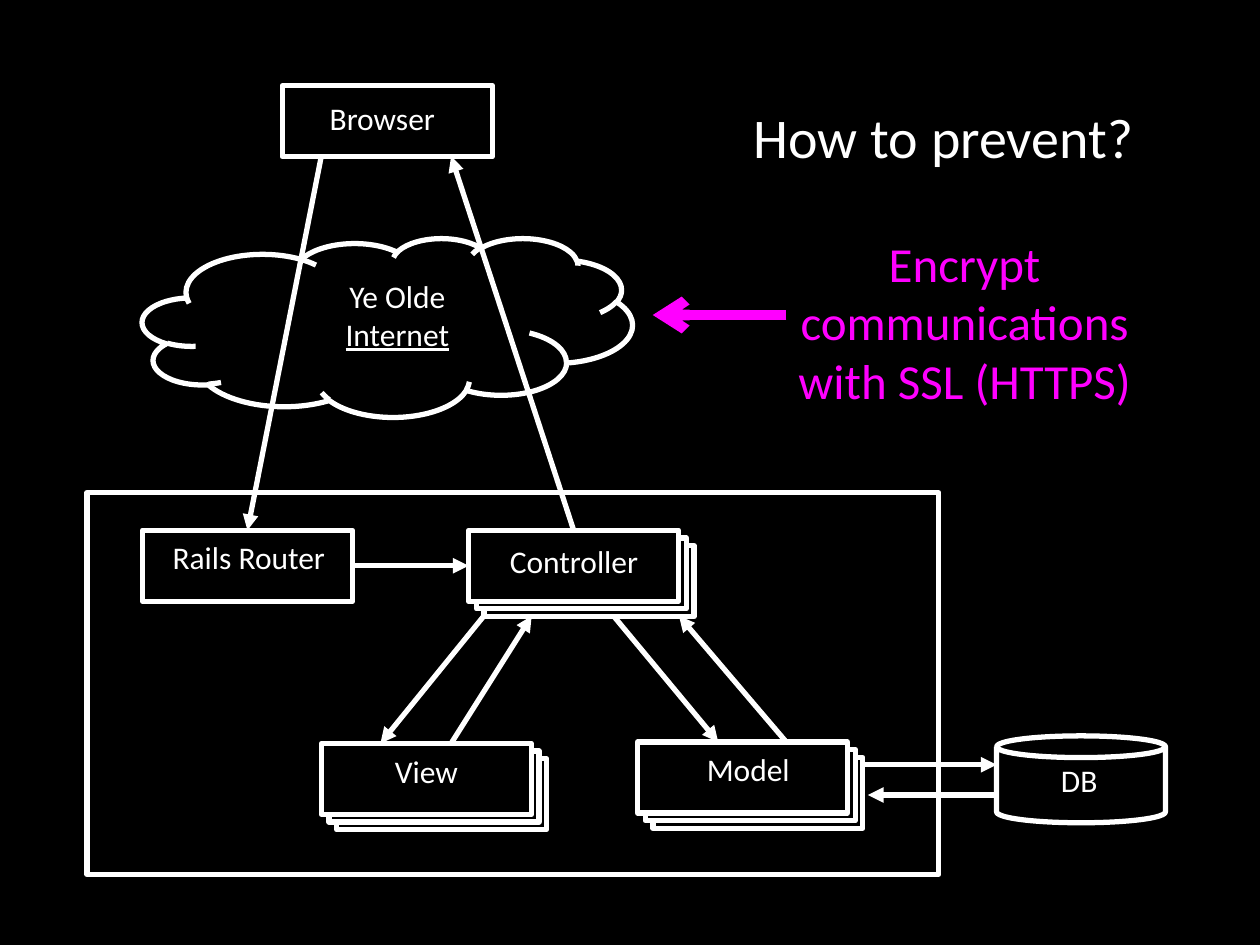
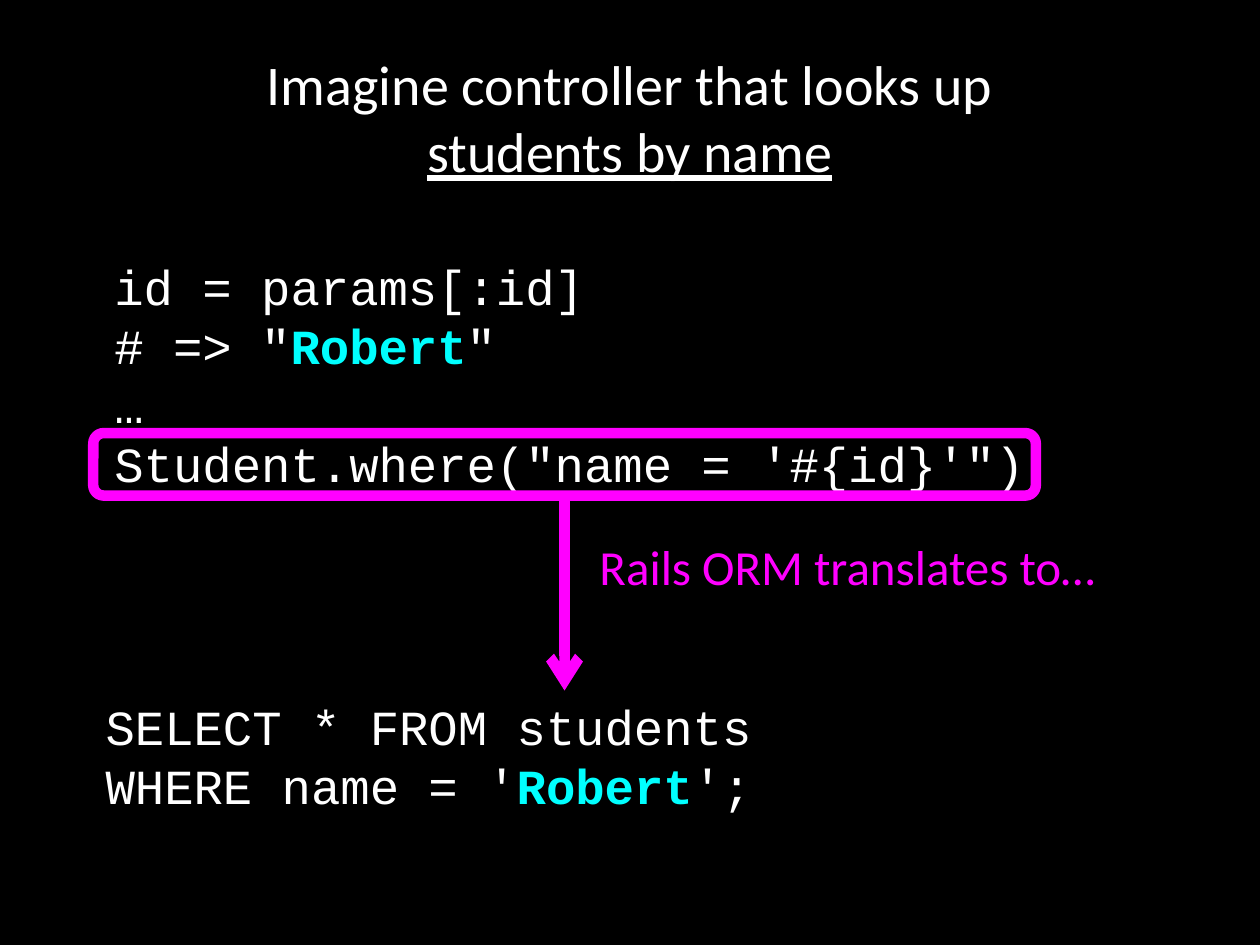
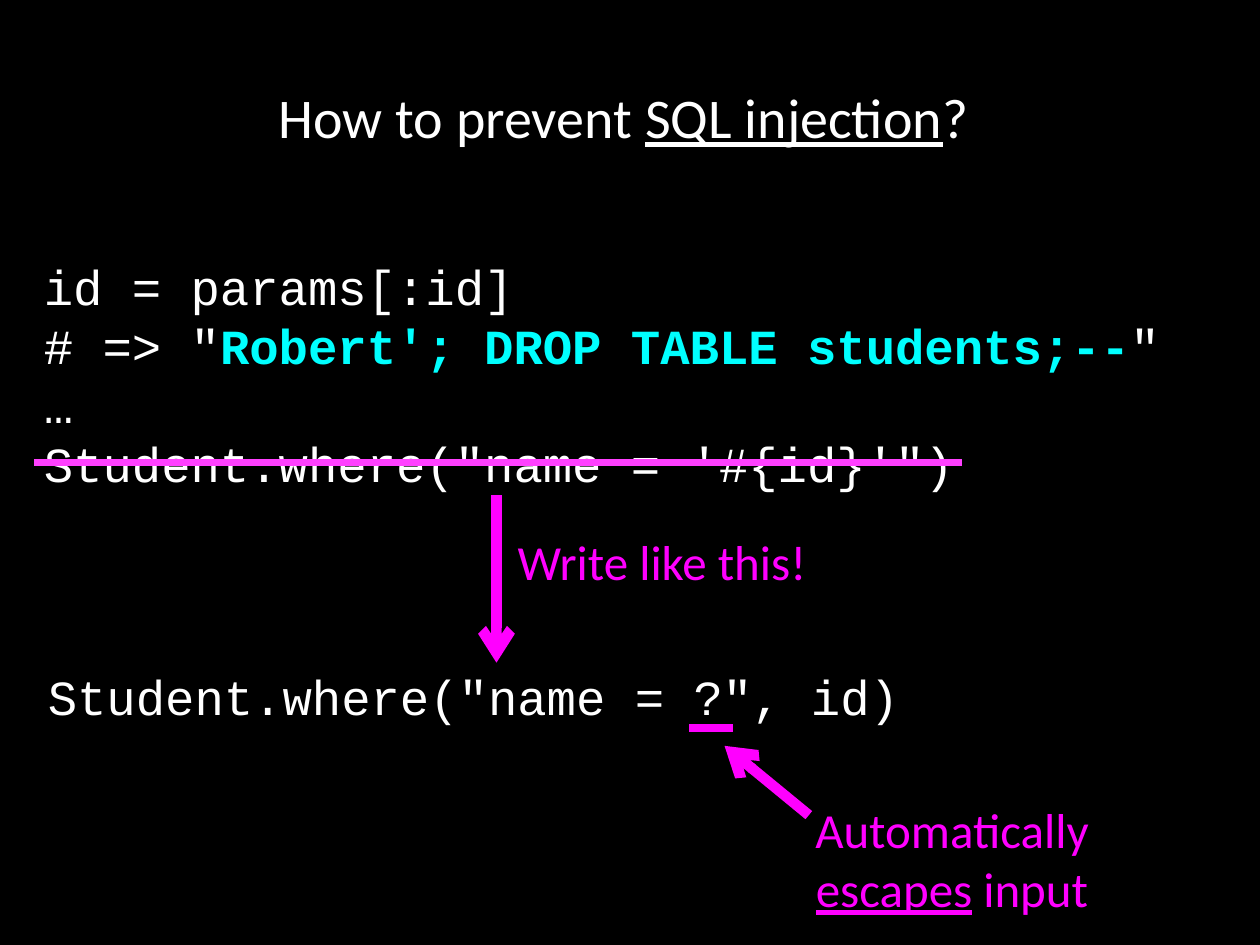
"""Build three slides on web security: HTTPS, query lookup and SQL injection."""
from lxml.etree import SubElement
from pptx import Presentation
from pptx.dml.color import RGBColor
from pptx.enum.shapes import MSO_CONNECTOR, MSO_SHAPE
from pptx.enum.text import MSO_ANCHOR, MSO_AUTO_SIZE, PP_ALIGN
from pptx.oxml.ns import qn
from pptx.util import Pt

BLACK = RGBColor(0x00, 0x00, 0x00)
WHITE = RGBColor(0xFF, 0xFF, 0xFF)
PINK = RGBColor(0xFF, 0x00, 0xFF)
ROSE = RGBColor(0xFF, 0x40, 0xFF)
CYAN = RGBColor(0x00, 0xFF, 0xFF)
SANS, MONO = "Calibri", "Courier New"
CARD = (120, 40.6)
STEP = 4.4
WIDE = (36, 21.6, 648, 90)
TOP, LEFT, BASE, RIGHT = range(4)


def new_slide(deck):
    """Add a blank slide with a black ground."""
    slide = deck.slides.add_slide(deck.slide_layouts[6])
    slide.background.fill.solid()
    slide.background.fill.fore_color.rgb = BLACK
    return slide


def add_text(slide, spot, lines, size, font=SANS, color=WHITE, align=PP_ALIGN.LEFT, wrap=True):
    """Add a text box; the parts between bars are marked runs."""
    box = slide.shapes.add_textbox(*map(Pt, spot))
    frame = box.text_frame
    frame.word_wrap = wrap
    frame.auto_size = MSO_AUTO_SIZE.SHAPE_TO_FIT_TEXT
    for row, line in enumerate(lines):
        para = frame.add_paragraph() if row else frame.paragraphs[0]
        para.alignment = align
        parts = line.split("|")
        para.text = parts[0]
        for part in parts[1:]:
            para.add_run().text = part
        para.font.size = Pt(size)
        for run in para.runs:
            run.font.name = font
            run.font.size = Pt(size)
            run.font.color.rgb = color
        for run in para.runs[1::2]:
            if font == MONO:
                run.font.bold = True
                run.font.color.rgb = CYAN
            else:
                run.font.underline = True
    return frame


def add_title(slide, text, spot=WIDE):
    """Add the centred slide title."""
    frame = add_text(slide, spot, [text], 32, align=PP_ALIGN.CENTER)
    frame.auto_size = MSO_AUTO_SIZE.NONE
    frame.vertical_anchor = MSO_ANCHOR.MIDDLE


def add_code(slide, spot, lines, wrap=True):
    """Add lines of code."""
    add_text(slide, spot, lines, 28, MONO, wrap=wrap)


def add_note(slide, spot, text, align=PP_ALIGN.LEFT, wrap=True):
    """Add a pink remark."""
    add_text(slide, spot, [text], 28, color=PINK, align=align, wrap=wrap)


def add_label(slide, spot, text):
    """Add a small centred label."""
    add_text(slide, spot, [text], 18, align=PP_ALIGN.CENTER, wrap=False)


def add_box(slide, kind, spot, color=WHITE, width=3, fill=None):
    """Add an outlined shape."""
    shape = slide.shapes.add_shape(kind, *map(Pt, spot))
    shape.shadow.inherit = False
    if fill is None:
        shape.fill.background()
    else:
        shape.fill.solid()
        shape.fill.fore_color.rgb = fill
    shape.line.color.rgb = color
    shape.line.width = Pt(width)
    return shape


def add_stack(slide, left, top):
    """Add three stacked cards and return the front one."""
    for step in (2, 1, 0):
        spot = (left + step * STEP, top + step * STEP, *CARD)
        card = add_box(slide, MSO_SHAPE.RECTANGLE, spot, fill=BLACK)
    return card


def add_line(slide, ends, color=WHITE, width=3, head="triangle", start=None, stop=None):
    """Add a line, joined to shapes where a (shape, side) pair is given."""
    line = slide.shapes.add_connector(MSO_CONNECTOR.STRAIGHT, *map(Pt, ends))
    line.line.color.rgb = color
    line.line.width = Pt(width)
    if head:
        SubElement(line.line._get_or_add_ln(), qn("a:tailEnd"), type=head)
    SubElement(line._element.spPr, qn("a:effectLst"))
    if start:
        line.begin_connect(*start)
    if stop:
        line.end_connect(*stop)


def add_arrow(slide, ends, start=None):
    """Add a thick pink arrow."""
    add_line(slide, ends, PINK, 6, "arrow", start)


def web_slide(deck):
    """Draw the path of a request from browser to database."""
    slide = new_slide(deck)
    add_title(slide, "How to prevent?", (388, 33, 302.4, 90))
    add_box(slide, MSO_SHAPE.RECTANGLE, (49.7, 281.5, 486.7, 218.2))
    add_box(slide, MSO_SHAPE.RECTANGLE, (161.3, 49, *CARD))
    router = add_box(slide, MSO_SHAPE.RECTANGLE, (81.4, 303, *CARD))
    control = add_stack(slide, 267.8, 303)
    add_box(slide, MSO_SHAPE.CAN, (569.5, 420.5, 96.5, 49.7))
    add_box(slide, MSO_SHAPE.CLOUD, (81.4, 136, 280, 102.2))
    add_stack(slide, 183.6, 424.8)
    add_stack(slide, 364.3, 424)
    add_line(slide, (183.6, 89.3, 141.4, 303), stop=(router, TOP))
    add_line(slide, (327.8, 303, 257.8, 89.3), start=(control, TOP))
    add_line(slide, (201.4, 323.3, 267.8, 323.3), start=(router, RIGHT), stop=(control, LEFT))
    for ends in (
        (276.5, 352, 217.4, 424.8),
        (257.8, 424.8, 303.8, 352),
        (350.6, 352, 410.4, 424),
        (449.3, 424, 388, 352),
        (494, 437, 569.5, 437),
        (569.5, 454.3, 496, 454.3),
    ):
        add_line(slide, ends)
    for spot, text in (
        ((177.8, 154.8, 98.6, 44), "Ye Olde\vInternet"),
        ((168.5, 53.3, 100, 25.2), "Browser"),
        ((74.2, 303.8, 136, 35.3), "Rails Router"),
        ((269.3, 306, 117.4, 25.2), "Controller"),
        ((210.2, 426.2, 67, 25.2), "View"),
        ((386.6, 424.8, 82, 25.2), "Model"),
        ((593.3, 431.3, 46.8, 25.2), "DB"),
    ):
        add_label(slide, spot, text)
    add_arrow(slide, (449.3, 180, 373, 180))
    add_note(slide, (431.3, 129.6, 239.8, 108.7), "Encrypt communications with SSL (HTTPS)", PP_ALIGN.CENTER)


def query_slide(deck):
    """Show how a lookup turns into SQL."""
    slide = new_slide(deck)
    add_title(slide, "Imagine controller that looks up\vstudents by name")
    add_code(slide, (58.3, 143.3, 538.6, 143.3), [
        "id = params[:id]",
        "# => \"|Robert|\"",
        "…",
        "Student.where(\"name = '#{id}'\")",
    ], wrap=False)
    add_code(slide, (53.3, 394.6, 609.8, 74.9), [
        "SELECT * FROM students",
        "WHERE name = '|Robert|';",
    ])
    frame = add_box(slide, MSO_SHAPE.ROUNDED_RECTANGLE, (53.3, 247.5, 538.6, 35.7), PINK, 6)
    add_arrow(slide, (322.6, 283.2, 322.6, 394.6), (frame, BASE))
    add_note(slide, (335.5, 303.1, 302.4, 41), "Rails ORM translates to…", wrap=False)


def safe_slide(deck):
    """Show the safe form of the lookup."""
    slide = new_slide(deck)
    add_title(slide, "How to prevent |SQL injection|? ")
    add_code(slide, (18, 143.3, 733, 143.3), [
        "id = params[:id]",
        "# => \"|Robert'; DROP TABLE students;--|\"",
        "…",
        "Student.where(\"name = '#{id}'\")",
    ])
    add_line(slide, (393.8, 416.2, 419, 416.2), PINK, 4.5, None)
    add_arrow(slide, (462.2, 465.8, 414, 426.2))
    add_note(slide, (449.3, 453.6, 189.4, 74.9), "Automatically |escapes| input", PP_ALIGN.CENTER)
    add_code(slide, (20.2, 377.3, 562.3, 41), ["Student.where(\"name = ?\", id)"])
    add_arrow(slide, (283.7, 283, 283.7, 378.7))
    add_note(slide, (288.7, 300.2, 183.6, 41), "Write like this!", wrap=False)
    add_line(slide, (19.4, 264.2, 550, 264.2), ROSE, 4, None)


def main():
    """Build and save the deck."""
    deck = Presentation()
    deck.slide_width, deck.slide_height = Pt(720), Pt(540)
    web_slide(deck)
    query_slide(deck)
    safe_slide(deck)
    deck.save("out.pptx")


if __name__ == "__main__":
    main()
